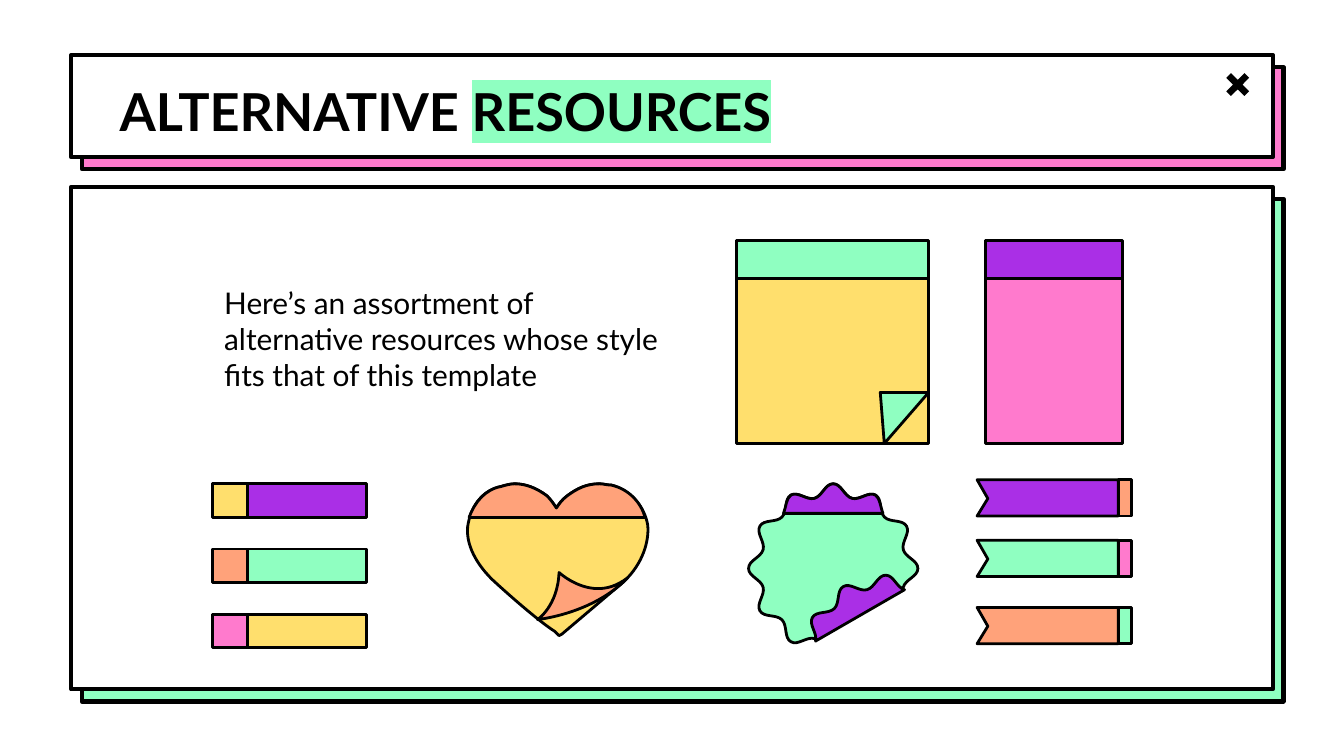
import math
from dataclasses import dataclass

import lxml.etree
import pptx
import pptx.dml.color
import pptx.enum.shapes
import pptx.enum.text
import pptx.oxml.ns
import pptx.util

Inches = pptx.util.Inches
qn = pptx.oxml.ns.qn
Preset = pptx.enum.shapes.MSO_SHAPE


@dataclass(frozen=True)
class Theme:
    font: str = "Lato"
    title_size: int = 28
    body_size: int = 16
    panel_line: float = 2.25
    item_line: float = 1.5
    black: str = "000000"
    white: str = "FFFFFF"
    pink: str = "FF7ACD"
    mint: str = "8FFFC1"
    purple: str = "AA2FE6"
    yellow: str = "FFDF6D"
    orange: str = "FFA27A"


THEME = Theme()


def rgb(color):
    return pptx.dml.color.RGBColor.from_string(color)


def paint(shape, fill, line_width=THEME.item_line):
    shape.shadow.inherit = False
    shape.fill.solid()
    shape.fill.fore_color.rgb = rgb(fill)
    shape.line.color.rgb = rgb(THEME.black)
    shape.line.width = pptx.util.Pt(line_width)
    return shape


def rectangle(shapes, left, top, width, height, fill, line_width=THEME.item_line):
    box = map(Inches, (left, top, width, height))
    return paint(shapes.add_shape(Preset.RECTANGLE, *box), fill, line_width)


def outline(shapes, left, top, start, segments, fill):
    def place(x, y):
        return Inches(left + x), Inches(top + y)

    builder = shapes.build_freeform(*place(*start))
    builder.add_line_segments([place(*segment[-2:]) for segment in segments], close=True)
    shape = builder.convert_to_shape()
    geometry = shape.element.find(".//" + qn("a:path"))
    for step, segment in zip(list(geometry)[1:], segments):
        if len(segment) == 6:
            step.tag = qn("a:cubicBezTo")
            for index in (0, 1):
                x, y = place(*segment[2 * index:2 * index + 2])
                handle = lxml.etree.Element(qn("a:pt"), x=str(x - shape.left), y=str(y - shape.top))
                step.insert(index, handle)
    return paint(shape, fill)


def format_text(frame, size, bold=False):
    frame.word_wrap = True
    frame.auto_size = pptx.enum.text.MSO_AUTO_SIZE.NONE
    frame.vertical_anchor = pptx.enum.text.MSO_ANCHOR.TOP
    frame.margin_left = frame.margin_right = Inches(0.1)
    frame.margin_top = frame.margin_bottom = Inches(0.1)
    para = frame.paragraphs[0]
    para.alignment = pptx.enum.text.PP_ALIGN.LEFT
    for span in para.runs:
        span.font.size = pptx.util.Pt(size)
        span.font.name = THEME.font
        span.font.bold = bold
        span.font.color.rgb = rgb(THEME.black)


def add_panel(page, left, top, width, height, back_color):
    for right, down, fill in ((0.08, 0.09, back_color), (0, 0, THEME.white)):
        rectangle(page.shapes, left + right, top + down, width, height, fill, THEME.panel_line)


def add_header(page, left, top, width, height):
    add_panel(page, left, top, width, height, THEME.pink)
    cross = page.shapes.add_shape(
        Preset.MATH_MULTIPLY, Inches(left + width - 0.39), Inches(top + 0.09), Inches(0.26), Inches(0.26))
    cross.adjustments[0] = 0.19
    paint(cross, THEME.black).line.fill.background()

    title = page.shapes.title
    title.element.getparent().append(title.element)
    title.left, title.top = Inches(left + 0.26), Inches(top + 0.08)
    title.width, title.height = Inches(8.43), Inches(0.63)
    para = title.text_frame.paragraphs[0]
    for words in ("ALTERNATIVE ", "RESOURCES"):
        para.add_run().text = words
    format_text(title.text_frame, THEME.title_size, bold=True)
    properties = title.element.findall(".//" + qn("a:rPr"))[1]
    highlight = lxml.etree.Element(qn("a:highlight"))
    lxml.etree.SubElement(highlight, qn("a:srgbClr"), val=THEME.mint)
    properties.find(qn("a:solidFill")).addnext(highlight)


def add_message(page, left, top, width, height):
    box = page.shapes.add_textbox(*map(Inches, (left, top, width, height)))
    box.text_frame.text = (
        "Here’s an assortment of alternative resources whose style fits that of this template")
    format_text(box.text_frame, THEME.body_size)


def add_marker(page, left, top, tip_color, body_color):
    shapes = page.shapes.add_group_shape().shapes
    rectangle(shapes, left + 0.26, top, 0.89, 0.25, body_color)
    rectangle(shapes, left, top, 0.26, 0.25, tip_color)


def add_note(page, left, top, width, body_color, header_color, folded=False):
    shapes = page.shapes.add_group_shape().shapes
    rectangle(shapes, left, top + 0.28, width, 1.23, body_color)
    rectangle(shapes, left, top, width, 0.28, header_color)
    if folded:
        outline(shapes, left + width - 0.36, top + 1.13, (0, 0),
                [(0.03, 0.38), (0.36, 0)], header_color)


def add_flag(page, left, top, body_color, end_color):
    shapes = page.shapes.add_group_shape().shapes
    outline(shapes, left, top, (0, 0),
            [(0.08, 0.14), (0, 0.27), (1.05, 0.27), (1.05, 0)], body_color)
    rectangle(shapes, left + 1.05, top, 0.1, 0.27, end_color)


def add_heart(page, left, top):
    shapes = page.shapes.add_group_shape().shapes
    start = (0.99, 0)
    lobes = [(0.9, 0, 0.83, 0.03, 0.75, 0.09), (0.71, 0.12, 0.69, 0.15, 0.67, 0.18),
             (0.65, 0.15, 0.63, 0.12, 0.6, 0.09), (0.52, 0.03, 0.44, 0, 0.36, 0),
             (0.33, 0, 0.29, 0.01, 0.26, 0.02)]
    closing = (1.05, 0.01, 1.02, 0, 0.99, 0)
    body = [(0.11, 0.05, 0.03, 0.18, 0.01, 0.32), (0, 0.42, 0.04, 0.56, 0.19, 0.71),
            (0.33, 0.84, 0.55, 1.03, 0.66, 1.1), (0.69, 1.13), (0.71, 1.12), (1.17, 0.73),
            (1.32, 0.59, 1.36, 0.42, 1.35, 0.31), (1.33, 0.18, 1.23, 0.05, 1.08, 0.01)]
    band = [(0.14, 0.04, 0.06, 0.14, 0.02, 0.25), (1.33, 0.25),
            (1.3, 0.14, 1.21, 0.04, 1.08, 0.01)]
    curl = [(0.68, 0.91, 0.53, 1.01, 0.53, 1.01), (0.53, 1.01, 0.94, 0.97, 1.2, 0.7),
            (1.12, 0.76, 1.05, 0.78, 0.98, 0.78), (0.82, 0.78, 0.69, 0.66, 0.69, 0.66)]
    outline(shapes, left, top, start, lobes + body + [closing], THEME.yellow)
    outline(shapes, left, top, start, lobes + band + [closing], THEME.orange)
    outline(shapes, left, top, (0.69, 0.66), curl, THEME.orange)


def scallops(center_x, center_y, first, last):
    def point(angle, lean=0):
        radius = 0.54 if angle % 30 else 0.63
        sine, cosine = math.sin(math.radians(angle)), math.cos(math.radians(angle))
        return (center_x + radius * sine + lean * cosine,
                center_y - radius * cosine + lean * sine)

    curves = [point(angle, 0.06) + point(angle + 15, -0.06) + point(angle + 15)
              for angle in range(first, last, 15)]
    return point(first), curves


def add_seal(page, left, top):
    shapes = page.shapes.add_group_shape().shapes
    outline(shapes, left, top, *scallops(0.63, 0.63, 195, 465), THEME.mint)
    peak, crown = scallops(0.63, 0.63, -30, 30)
    band = [(0.28, 0.17, 0.28, 0.11) + peak, *crown, (0.98, 0.11, 0.98, 0.17, 1, 0.22)]
    outline(shapes, left, top, (0.26, 0.22), band, THEME.purple)
    outline(shapes, left, top, *scallops(1.02, 1.31, -75, 15), THEME.purple)


def add_resources(page, left, top, width, height):
    add_panel(page, left, top, width, height, THEME.mint)
    markers = ((THEME.yellow, THEME.purple), (THEME.orange, THEME.mint), (THEME.pink, THEME.yellow))
    for row, colors in enumerate(markers):
        add_marker(page, left + 1.05, top + 2.21 + 0.485 * row, *colors)
    add_note(page, left + 6.8, top + 0.4, 1.02, THEME.pink, THEME.purple)
    add_note(page, left + 4.95, top + 0.4, 1.43, THEME.yellow, THEME.mint, folded=True)
    flags = ((2.18, THEME.purple, THEME.orange), (2.63, THEME.mint, THEME.pink),
             (3.13, THEME.orange, THEME.mint))
    for drop, *colors in flags:
        add_flag(page, left + 6.74, top + drop, *colors)
    add_heart(page, left + 2.94, top + 2.21)
    add_seal(page, left + 5.04, top + 2.21)
    add_message(page, left + 1.04, top + 0.63, 3.49, 1.05)


def main():
    deck = pptx.Presentation()
    deck.slide_width = Inches(10)
    deck.slide_height = deck.slide_width * 9 // 16
    page = deck.slides.add_slide(deck.slide_layouts.get_by_name("Title Only"))
    add_header(page, 0.53, 0.41, 8.94, 0.76)
    add_resources(page, 0.53, 1.39, 8.94, 3.74)
    deck.save("out.pptx")


if __name__ == "__main__":
    main()
